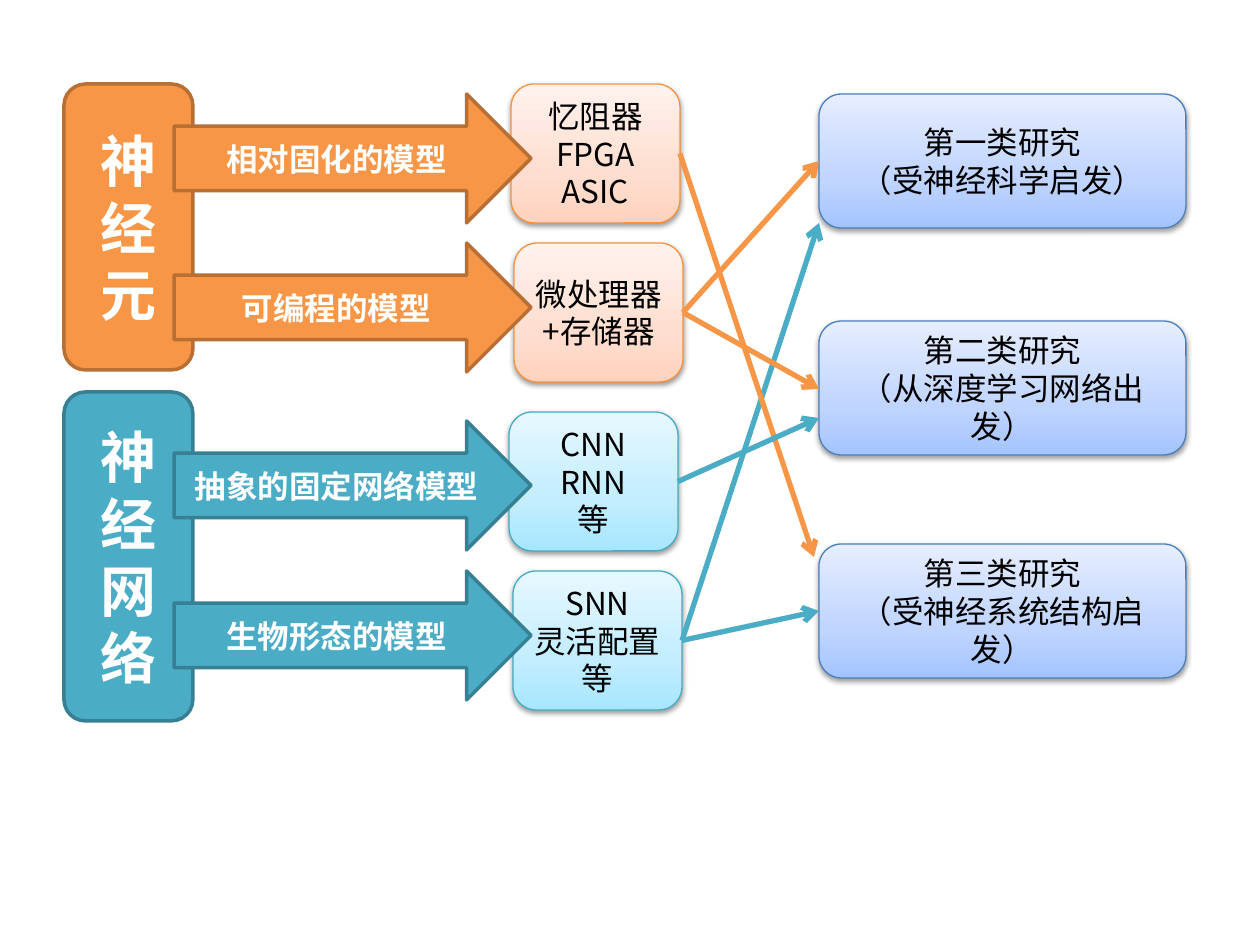
from copy import deepcopy
from lxml import etree
from pptx import Presentation
from pptx import util as u
from pptx.dml.color import RGBColor
from pptx.enum import shapes, text
from pptx.oxml.ns import qn

FONT = "Noto Sans CJK SC"
PX = u.Inches(1) / 126
COLORS = {
    "white": "FFFFFF", "black": "000000",
    "orange": "F79646", "orange_edge": "B76F34", "orange_thin": "F69240",
    "teal": "4BACC6", "teal_edge": "377F92", "teal_thin": "46AAC5",
    "blue_thin": "4B7EBC",
}
GRADIENTS = {
    "orange": ["FFD2BD", "FFDED0", "FFF2ED"],
    "teal": ["A7E6FF", "C1EDFF", "E7F8FF"],
    "blue": ["A4C4FF", "BFD4FF", "E6EEFF"],
}
STOPS = [0, 0.35, 1]
ROUND = shapes.MSO_SHAPE.ROUNDED_RECTANGLE
ARROW = shapes.MSO_SHAPE.RIGHT_ARROW
MODEL_W, MODEL_H = 169, 139

BRANCHES = [
    {"box": (64, 84, 129, 286), "hue": "orange", "name": "神经元", "rows": [
        (10, "相对固化的模型", (447, 0), ["忆阻器", "FPGA", "ASIC"]),
        (159, "可编程的模型", (450, 159), ["微处理器+存储器"])]},
    {"box": (64, 392, 129, 329), "hue": "teal", "name": "神经网络", "rows": [
        (29, "抽象的固定网络模型", (445, 20), ["CNN", "RNN", "等"]),
        (179, "生物形态的模型", (449, 179), ["SNN", "灵活配置", "等"])]},
]
STUDIES = [
    (0, ["第一类研究", "（受神经科学启发）"]),
    (227, ["第二类研究", "（从深度学习网络出发）"]),
    (450, ["第三类研究", "（受神经系统结构启发）"]),
]
LINKS = [
    (3, (819, 223), "teal"), (1, (819, 161), "orange"),
    (0, (814, 557), "orange"), (2, (819, 418), "teal"),
    (3, (819, 611), "teal"), (1, (819, 389), "orange"),
]


def rgb(value):
    return RGBColor.from_string(value)


def px(*values):
    return [round(v * PX) for v in values]


def add_box(slide, kind, box, lines, size=18, bold=False, color="white"):
    sp = slide.shapes.add_shape(kind, *px(*box))
    sp.shadow.inherit = False
    tf = sp.text_frame
    tf.word_wrap = True
    tf.vertical_anchor = text.MSO_ANCHOR.MIDDLE
    for i, line in enumerate(lines):
        p = tf.paragraphs[0] if i == 0 else tf.add_paragraph()
        p.alignment = text.PP_ALIGN.CENTER
        r = p.add_run()
        r.text = line
        for name, value in {"name": FONT, "size": u.Pt(size), "bold": bold}.items():
            setattr(r.font, name, value)
        r.font.color.rgb = rgb(COLORS[color])
        etree.SubElement(r.font._element, qn("a:ea"), typeface=FONT)
    return sp


def solid_box(slide, kind, box, label, hue, size):
    sp = add_box(slide, kind, box, [label], size, True)
    sp.fill.solid()
    sp.fill.fore_color.rgb = rgb(COLORS[hue])
    sp.line.color.rgb = rgb(COLORS[hue + "_edge"])
    sp.line.width = u.Pt(2)


def soft_box(slide, box, lines, hue):
    sp = add_box(slide, ROUND, box, lines, color="black")
    sp.fill.gradient()
    sp.fill.gradient_angle = 90
    pr = sp._element.spPr
    stops = pr.find(qn("a:gradFill")).find(qn("a:gsLst"))
    stops.insert(1, deepcopy(stops[0]))
    for stop, position, value in zip(sp.fill.gradient_stops, STOPS, GRADIENTS[hue]):
        stop.position = position
        stop.color.rgb = rgb(value)
    sp.line.color.rgb = rgb(COLORS[hue + "_thin"])
    sp.line.width = u.Pt(0.75)
    shadow = etree.SubElement(pr.find(qn("a:effectLst")), qn("a:outerShdw"),
                              blurRad="40000", dist="20000", dir="5400000", rotWithShape="0")
    tint = etree.SubElement(shadow, qn("a:srgbClr"), val=COLORS["black"])
    etree.SubElement(tint, qn("a:alpha"), val="38000")


def add_branch(slide, box, hue, name, rows):
    x, y, w, h = box
    ports = []
    for _, _, (dx, dy), lines in rows:
        soft_box(slide, (x + dx, y + dy, MODEL_W, MODEL_H), lines, hue)
        ports.append((x + dx + MODEL_W, y + dy + MODEL_H / 2))
    solid_box(slide, ROUND, box, name, hue, 32)
    for dy, label, _, _ in rows:
        solid_box(slide, ARROW, (x + 110, y + dy, 357, 129), label, hue, 18)
    return ports


def add_studies(slide, box):
    x, y, w, h = box
    for dy, lines in STUDIES:
        soft_box(slide, (x, y + dy, w, h), lines, "blue")


def add_link(slide, start, end, hue):
    link = slide.shapes.add_connector(shapes.MSO_CONNECTOR.STRAIGHT, *px(*start, *end))
    link.line.color.rgb = rgb(COLORS[hue])
    link.line.width = u.Pt(3)
    etree.SubElement(link.line._get_or_add_ln(), qn("a:tailEnd"), type="arrow")
    etree.SubElement(link._element.spPr, qn("a:effectLst"))


prs = Presentation()
prs.slide_width, prs.slide_height = u.Inches(10), u.Inches(7.5)
slide = prs.slides.add_slide(prs.slide_layouts[6])
ports = [port for branch in BRANCHES for port in add_branch(slide, **branch)]
add_studies(slide, (819, 94, 367, 134))
for source, end, hue in LINKS:
    add_link(slide, ports[source], end, hue)
prs.save("out.pptx")
